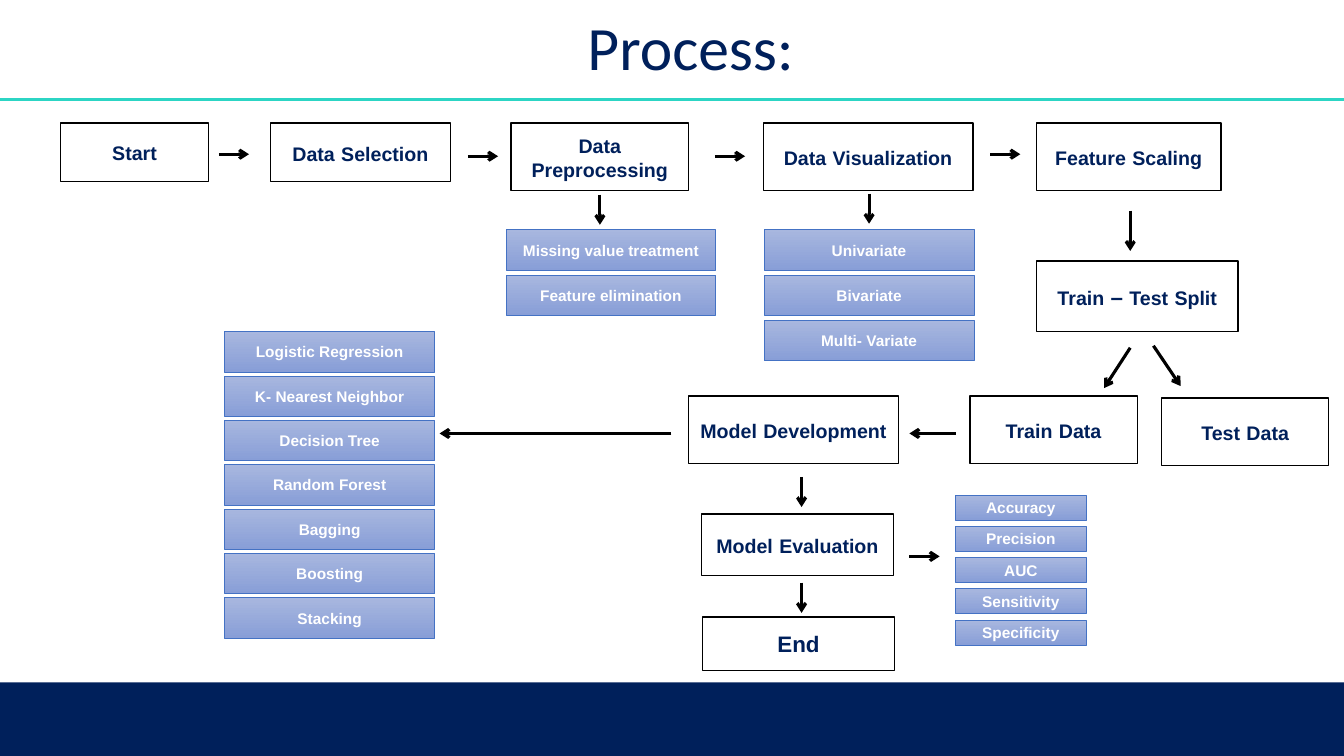
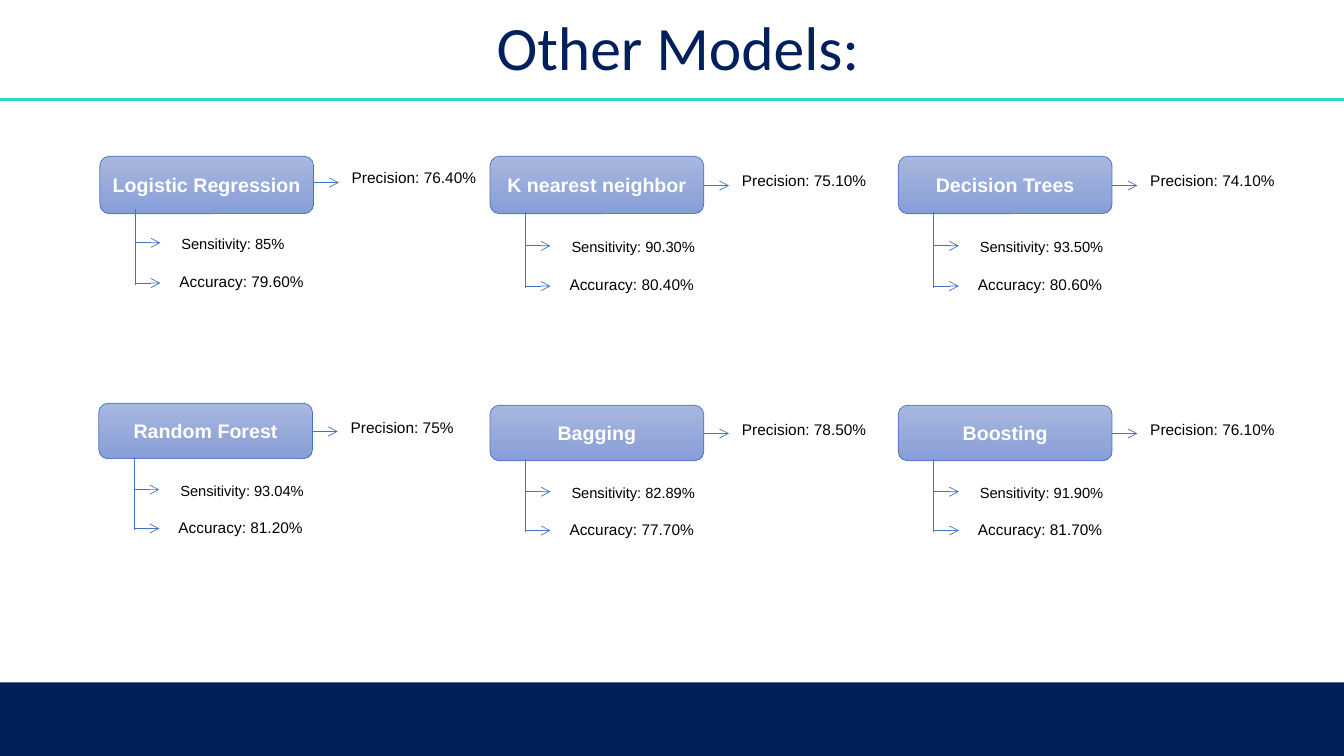
from lxml import etree
from pptx import Presentation
from pptx import util as u
from pptx.dml import color as c
from pptx.enum import shapes as kinds
from pptx.enum import text as layout
from pptx.oxml import ns

NAVY = c.RGBColor(0x00, 0x20, 0x5B)
TEAL = c.RGBColor(0x2C, 0xD5, 0xC4)
BLUE = c.RGBColor(0x44, 0x72, 0xC4)
LIGHT_BLUE = c.RGBColor(0xA8, 0xB7, 0xDF)
MID_BLUE = c.RGBColor(0x88, 0x9E, 0xD7)
WHITE = c.RGBColor(0xFF, 0xFF, 0xFF)
BLACK = c.RGBColor(0x00, 0x00, 0x00)

SLIDE_WIDTH, SLIDE_HEIGHT = 13.33, 7.5
BAND_TOP = 6.77

STAGES = [
    ("Start", (0.6, 1.22, 1.47, 0.58)),
    ("Data Selection", (2.68, 1.22, 1.79, 0.58)),
    ("Data Preprocessing", (5.07, 1.22, 1.76, 0.67)),
    ("Data Visualization", (7.57, 1.22, 2.08, 0.67)),
    ("Feature Scaling", (10.28, 1.22, 1.83, 0.67)),
    ("Train – Test Split", (10.28, 2.59, 2, 0.7)),
    ("Train Data", (9.62, 3.93, 1.66, 0.67)),
    ("Test Data", (11.52, 3.95, 1.66, 0.67)),
    ("Model Development", (6.83, 3.93, 2.08, 0.67)),
    ("Model Evaluation", (6.96, 5.1, 1.9, 0.61)),
]
FLOW_ARROWS = [
    ((2.17, 1.53), (2.47, 1.53)),
    ((4.64, 1.55), (4.94, 1.55)),
    ((7.09, 1.55), (7.39, 1.55)),
    ((9.82, 1.53), (10.12, 1.53)),
    ((5.95, 1.93), (5.95, 2.23)),
    ((8.62, 1.92), (8.62, 2.22)),
    ((11.21, 2.09), (11.21, 2.49)),
    ((11.21, 3.45), (10.95, 3.85)),
    ((11.44, 3.43), (11.71, 3.83)),
    ((9.48, 4.3), (9.02, 4.3)),
    ((6.66, 4.3), (4.36, 4.3)),
    ((7.95, 4.73), (7.95, 5.03)),
    ((7.95, 5.78), (7.95, 6.08)),
    ((9.02, 5.52), (9.32, 5.52)),
]
STEP_STACKS = [
    ((5.02, 2.28, 2.08, 0.4), 0.45,
     ["Missing value treatment", "Feature elimination"]),
    ((7.58, 2.28, 2.08, 0.4), 0.45,
     ["Univariate", "Bivariate", "Multi- Variate"]),
    ((2.23, 3.29, 2.08, 0.4), 0.44,
     ["Logistic Regression", "K- Nearest Neighbor", "Decision Tree",
      "Random Forest", "Bagging", "Boosting", "Stacking"]),
    ((9.48, 4.91, 1.29, 0.25), 0.31,
     ["Accuracy", "Precision", "AUC", "Sensitivity", "Specificity"]),
]
MODELS = [
    ("Logistic Regression", (0.99, 1.55, 2.12, 0.57), 0.03, ("76.40%", "85%", "79.60%")),
    ("K nearest neighbor", (4.86, 1.55, 2.12, 0.57), 0, ("75.10%", "90.30%", "80.40%")),
    ("Decision Trees", (8.91, 1.55, 2.12, 0.57), 0, ("74.10%", "93.50%", "80.60%")),
    ("Random Forest", (0.98, 4, 2.12, 0.55), 0, ("75%", "93.04%", "81.20%")),
    ("Bagging", (4.86, 4.02, 2.12, 0.55), 0, ("78.50%", "82.89%", "77.70%")),
    ("Boosting", (8.91, 4.02, 2.12, 0.55), 0, ("76.10%", "91.90%", "81.70%")),
]
METRICS = [
    ("Precision", 11, 2.12, 2.4, 0.51, 0.18),
    ("Sensitivity", 10.5, 0.35, 0.71, 1.56, 1.33),
    ("Accuracy", 11, 0.35, 0.69, 2.26, 1.99),
]


def inches(box):
    return [u.Inches(length) for length in box]


def write_text(shape, content, size=11, gap_size=None, font="Arial", color=BLACK,
               bold=False, align=layout.PP_ALIGN.CENTER,
               anchor=layout.MSO_ANCHOR.MIDDLE, margin=0.05, spacing=None):
    frame = shape.text_frame
    frame.word_wrap = True
    frame.vertical_anchor = anchor
    frame.margin_left = frame.margin_right = u.Inches(margin)
    paragraph = frame.paragraphs[0]
    paragraph.alignment = align
    paragraph.line_spacing = spacing
    pieces = [(content, size)]
    if gap_size:
        pieces = []
        for index, word in enumerate(content.split(" ")):
            if index:
                pieces.append((" ", gap_size))
            pieces.append((word, gap_size if word == "–" else size))
    for piece, piece_size in pieces:
        run = paragraph.add_run()
        run.text = piece
        run.font.size = u.Pt(piece_size)
        run.font.name = font
        run.font.bold = bold
        run.font.color.rgb = color


def add_text_box(slide, box, content, **text_format):
    write_text(slide.shapes.add_textbox(*inches(box)), content, **text_format)


def add_line(slide, start, end, color, width, arrow=False):
    line = slide.shapes.add_connector(
        kinds.MSO_CONNECTOR.STRAIGHT, *inches((*start, *end)))
    line.line.color.rgb = color
    line.line.width = u.Pt(width)
    properties = line._element.spPr
    if arrow:
        etree.SubElement(properties.find(ns.qn("a:ln")), ns.qn("a:tailEnd"), type="arrow")
    etree.SubElement(properties, ns.qn("a:effectLst"))


def add_box(slide, box, fill, outline=None, width=1, kind=kinds.MSO_SHAPE.RECTANGLE):
    shape = slide.shapes.add_shape(kind, *inches(box))
    shape.shadow.inherit = False
    if isinstance(fill, c.RGBColor):
        shape.fill.solid()
        shape.fill.fore_color.rgb = fill
    else:
        shape.fill.gradient()
        shape.fill.gradient_angle = 270
        for stop, color in zip(shape.fill.gradient_stops, fill):
            stop.color.rgb = color
    if outline is None:
        shape.line.fill.background()
    else:
        shape.line.color.rgb = outline
        shape.line.width = u.Pt(width)
    return shape


def add_gradient_box(slide, box, content, size, kind=kinds.MSO_SHAPE.RECTANGLE):
    shape = add_box(slide, box, [LIGHT_BLUE, MID_BLUE], BLUE, 0.5, kind)
    write_text(shape, content, size=size, color=WHITE, bold=True)


def add_stage(slide, box, content, size=14):
    shape = add_box(slide, box, WHITE, BLACK)
    write_text(shape, content, size=size, gap_size=16, color=NAVY, bold=True)


def add_stack(slide, box, pitch, labels):
    left, top, width, height = box
    for index, label in enumerate(labels):
        add_gradient_box(slide, (left, top + index * pitch, width, height), label, 11)


def add_model(slide, box, name, values, lift):
    left, top, width, height = box
    add_gradient_box(slide, box, name, 14, kinds.MSO_SHAPE.ROUNDED_RECTANGLE)
    top -= lift
    trunk = left + 0.35
    add_line(slide, (trunk, top + 0.97 * height), (trunk, top + 2.29 * height), BLUE, 0.5)
    for metric, value in zip(METRICS, values):
        label, size, arrow_offset, text_offset, arrow_level, text_level = metric
        start, level = left + arrow_offset, top + arrow_level * height
        add_line(slide, (start, level), (start + 0.25, level), BLUE, 0.5, arrow=True)
        add_text_box(slide, (left + text_offset, top + text_level * height, 1.71, 0.29),
                     f"{label}: {value}", size=size, margin=0.1,
                     align=layout.PP_ALIGN.LEFT, anchor=layout.MSO_ANCHOR.TOP)


def add_base_slide(presentation, title, title_box):
    slide = presentation.slides.add_slide(presentation.slide_layouts[6])
    add_line(slide, (0, 0.99), (SLIDE_WIDTH, 0.99), TEAL, 2)
    add_box(slide, (0, BAND_TOP, SLIDE_WIDTH, SLIDE_HEIGHT - BAND_TOP), NAVY)
    add_text_box(slide, title_box, title, size=44, font="Calibri", color=NAVY, spacing=0.9)
    return slide


def add_process_slide(presentation):
    slide = add_base_slide(presentation, "Process:", (2.49, 0.14, 8.72, 0.72))
    for content, box in STAGES:
        add_stage(slide, box, content)
    add_stage(slide, (6.97, 6.12, 1.9, 0.53), "End", size=16)
    for start, end in FLOW_ARROWS:
        add_line(slide, start, end, BLACK, 2.25, arrow=True)
    for box, pitch, labels in STEP_STACKS:
        add_stack(slide, box, pitch, labels)


def add_models_slide(presentation):
    slide = add_base_slide(presentation, "Other Models:", (2.7, 0.14, 8.05, 0.72))
    for name, box, lift, values in MODELS:
        add_model(slide, box, name, values, lift)


def main():
    presentation = Presentation()
    presentation.slide_width = u.Inches(SLIDE_WIDTH)
    presentation.slide_height = u.Inches(SLIDE_HEIGHT)
    add_process_slide(presentation)
    add_models_slide(presentation)
    presentation.save("out.pptx")


if __name__ == "__main__":
    main()
